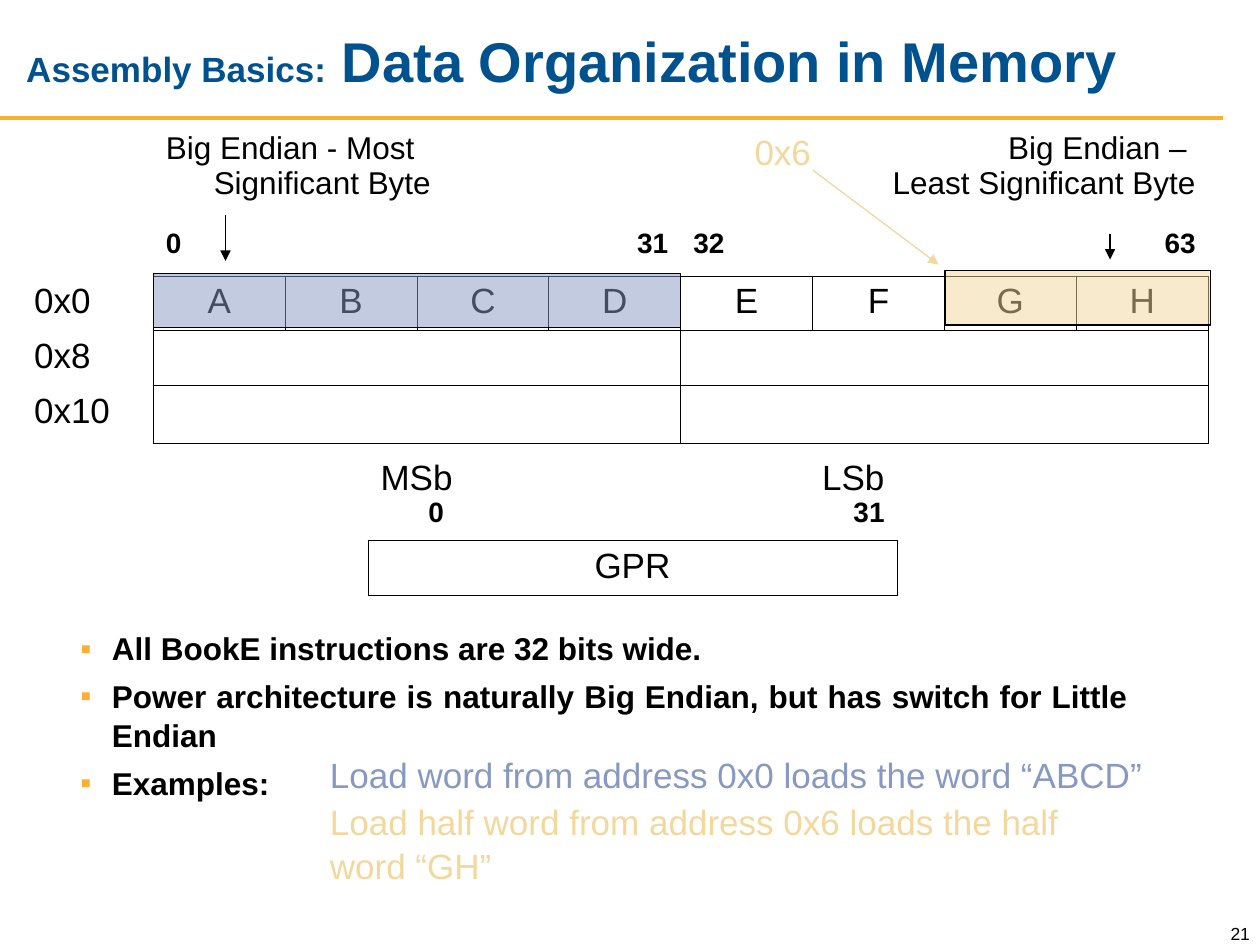
import pptx
import pptx.util
import pptx.dml.color
import pptx.enum.shapes
import pptx.enum.text
import pptx.oxml.ns
from lxml import etree

Inches, Pt = pptx.util.Inches, pptx.util.Pt
ALIGN, ANCHOR = pptx.enum.text.PP_ALIGN, pptx.enum.text.MSO_ANCHOR
qn = pptx.oxml.ns.qn
COLORS = {"ink": "000000", "title": "00528E", "gold": "FBB034",
          "word": "8799C1", "half": "F3D89D"}
NO_GRID_STYLE = "{2D5ABB26-0587-4C30-8999-92F81FD0307C}"


def rgb(name):
    return pptx.dml.color.RGBColor.from_string(COLORS[name])


def child(parent, tag, **attrs):
    return etree.SubElement(parent, qn(tag), attrs)


def set_attrs(obj, values):
    for name, value in values.items():
        setattr(obj, name, value)


def add_run(p, text, size, color="ink", bold=False):
    r = p.add_run()
    r.text = text
    set_attrs(r.font, {"name": "Arial", "size": Pt(size), "bold": bold})
    r.font.color.rgb = rgb(color)


def add_text(s, box, runs, wrap=True, anchor=ANCHOR.TOP, **para):
    """Text box with one paragraph; each run is (text, size, color, bold)."""
    tf = s.shapes.add_textbox(*map(Inches, box)).text_frame
    set_attrs(tf, {"word_wrap": wrap, "vertical_anchor": anchor})
    p = tf.paragraphs[0]
    set_attrs(p, para)
    for run in runs:
        add_run(p, *run)
    return tf


def add_line(s, start, end, color="ink", width=0.75, arrow=True):
    line = s.shapes.add_connector(pptx.enum.shapes.MSO_CONNECTOR.STRAIGHT,
                                  *map(Inches, (*start, *end)))
    line.line.color.rgb = rgb(color)
    line.line.width = Pt(width)
    if arrow:
        child(line.line._get_or_add_ln(), "a:tailEnd", type="triangle")
    child(line._element.spPr, "a:effectLst")


def add_highlight(s, box, color):
    sp = s.shapes.add_shape(pptx.enum.shapes.MSO_SHAPE.RECTANGLE, *map(Inches, box))
    sp.shadow.inherit = False
    sp.fill.solid()
    sp.fill.fore_color.rgb = rgb(color)
    child(sp.fill._xPr.find(".//" + qn("a:srgbClr")), "a:alpha", val="50000")
    sp.line.color.rgb = rgb("ink")
    sp.line.width = Pt(0.75)


def add_table(s, box, widths, heights):
    frame = s.shapes.add_table(len(heights), len(widths), *map(Inches, box))
    table = frame.table
    set_attrs(table, {"first_row": False, "horz_banding": False})
    table._tbl.tblPr.find(qn("a:tableStyleId")).text = NO_GRID_STYLE
    for column, width in zip(table.columns, widths):
        column.width = Inches(width)
    for row, height in zip(table.rows, heights):
        row.height = Inches(height)
    return table


def set_borders(cell, edges):
    tcPr = cell._tc.get_or_add_tcPr()
    for edge in "LRTB":
        ln = child(tcPr, f"a:ln{edge}", w=str(Pt(0.45)))
        if edge in edges:
            child(child(ln, "a:solidFill"), "a:srgbClr", val=COLORS["ink"])
        else:
            child(ln, "a:noFill")
    cell.fill.background()


def fill_cell(cell, lines, align=ALIGN.LEFT):
    """Write lines of (text, size, bold) as one hanging paragraph."""
    p = cell.text_frame.paragraphs[0]
    p.alignment = align
    pPr = p._p.get_or_add_pPr()
    pPr.set("marL", str(Inches(0.38)))
    pPr.set("indent", str(Inches(-0.38)))
    for i, (text, size, bold) in enumerate(lines):
        if i:
            p.add_line_break()
        add_run(p, text, size, bold=bold)


def header(s, x, y):
    add_line(s, (0, y + 0.82), (9.71, y + 0.82), "gold", 2.25, arrow=False)
    add_text(s, (x, y, 9.71, 0.71),
             [("Assembly Basics:", 20, "title", True),
              (" Data Organization in Memory", 32, "title", True)],
             anchor=ANCHOR.MIDDLE)


def memory_edges(cell, row, col):
    if row == 0 or (row == 1 and col == 0):
        return ""
    if row == 1:
        return "B"
    if col == 0:
        return "R"
    if cell.is_spanned:
        return "TBR" if col == 8 else "TB"
    return "LRTB"


def memory_map(s, x, y):
    heights = [0.77, 0.43, 0.43, 0.43, 0.46]
    table = add_table(s, (x, y, 9.42, sum(heights)), [9.42 / 9] * 9, heights)
    for row, first, last in [(0, 1, 3), (0, 6, 8), (3, 1, 4), (3, 5, 8),
                             (4, 1, 4), (4, 5, 8)]:
        table.cell(row, first).merge(table.cell(row, last))
    for row in range(5):
        for col in range(9):
            cell = table.cell(row, col)
            set_borders(cell, memory_edges(cell, row, col))

    # Captions, bit numbers, addresses and bytes
    fill_cell(table.cell(0, 1), [("Big Endian - Most Significant Byte", 18, False)])
    fill_cell(table.cell(0, 6), [("Big Endian – ", 18, False),
                                 ("Least Significant Byte", 18, False)], ALIGN.RIGHT)
    for col, bit in {1: "0", 4: "31", 5: "32", 8: "63"}.items():
        align = ALIGN.RIGHT if col in (4, 8) else ALIGN.LEFT
        fill_cell(table.cell(1, col), [(bit, 16, True)], align)
    for row, address in enumerate(("0x0", "0x8", "0x10"), 2):
        fill_cell(table.cell(row, 0), [(address, 20, False)])
    for col, byte in enumerate("ABCDEFGH", 1):
        fill_cell(table.cell(2, col), [(byte, 20, False)], ALIGN.CENTER)

    # Arrows to the most and least significant bytes
    add_line(s, (x + 1.62, y + 0.72), (x + 1.62, y + 1.08))
    add_line(s, (x + 8.64, y + 0.87), (x + 8.64, y + 1.07))


def register(s, x, y):
    table = add_table(s, (x, y, 4.2, 1.13), [1.59, 1, 1.61], [0.7, 0.43])
    table.cell(1, 0).merge(table.cell(1, 2))
    for col in range(3):
        set_borders(table.cell(0, col), "B")
        set_borders(table.cell(1, col), ("LRTB", "TB", "TBR")[col])
    fill_cell(table.cell(0, 0), [("MSb", 20, False), ("0", 16, True)])
    fill_cell(table.cell(0, 2), [("LSb", 20, False), ("31", 16, True)], ALIGN.RIGHT)
    fill_cell(table.cell(1, 0), [("GPR", 20, False)], ALIGN.CENTER)


def notes_list(s, x, y):
    tf = s.shapes.add_textbox(*map(Inches, (x, y, 8.51, 1))).text_frame
    tf.word_wrap = True
    items = ("All BookE instructions are 32 bits wide.",
             "Power architecture is naturally Big Endian, "
             "but has switch for Little Endian",
             "Examples:")
    for i, text in enumerate(items):
        p = tf.add_paragraph() if i else tf.paragraphs[0]
        set_attrs(p, {"alignment": ALIGN.JUSTIFY, "line_spacing": 1.05,
                      "space_before": Pt(4.5 if i else 0)})
        pPr = p._p.get_or_add_pPr()
        pPr.set("marL", str(Inches(0.25)))
        pPr.set("indent", str(Inches(-0.25)))
        child(child(pPr, "a:buClr"), "a:srgbClr", val=COLORS["gold"])
        child(pPr, "a:buFont", typeface="Arial")
        child(pPr, "a:buChar", char="▪")
        add_run(p, text, 18, bold=True)


def examples(s, x, y):
    add_text(s, (x, y, 6.65, 0.44),
             [("Load word from address 0x0 loads the word “ABCD”", 20, "word")],
             wrap=False)
    add_text(s, (x, y + 0.36, 6.24, 0.77),
             [("Load half word from address 0x6 loads the half word “GH”", 20, "half")],
             line_spacing=1.05)


def half_word_pointer(s, x, y):
    add_text(s, (x, y, 1.33, 0.44), [("0x6", 20, "half")])
    add_line(s, (x + 0.56, y + 0.36), (x + 1.56, y + 1.11), "half")


def main():
    prs = pptx.Presentation()
    set_attrs(prs, {"slide_width": Inches(10), "slide_height": Inches(7.5)})
    s = prs.slides.add_slide(prs.slide_layouts[6])
    header(s, 0.11, 0.12)
    memory_map(s, 0.17, 0.99)
    register(s, 2.92, 3.59)
    notes_list(s, 0.54, 4.93)
    add_highlight(s, (1.22, 2.17, 4.18, 0.43), "word")
    examples(s, 2.52, 5.93)
    add_highlight(s, (7.5, 2.15, 2.11, 0.43), "half")
    half_word_pointer(s, 5.89, 0.99)
    # Page number
    tf = add_text(s, (9.42, 7.24, 0.5, 0.3), [("21", 10)],
                  anchor=ANCHOR.BOTTOM, alignment=ALIGN.RIGHT)
    tf.margin_right = 0
    prs.save("out.pptx")


if __name__ == "__main__":
    main()
